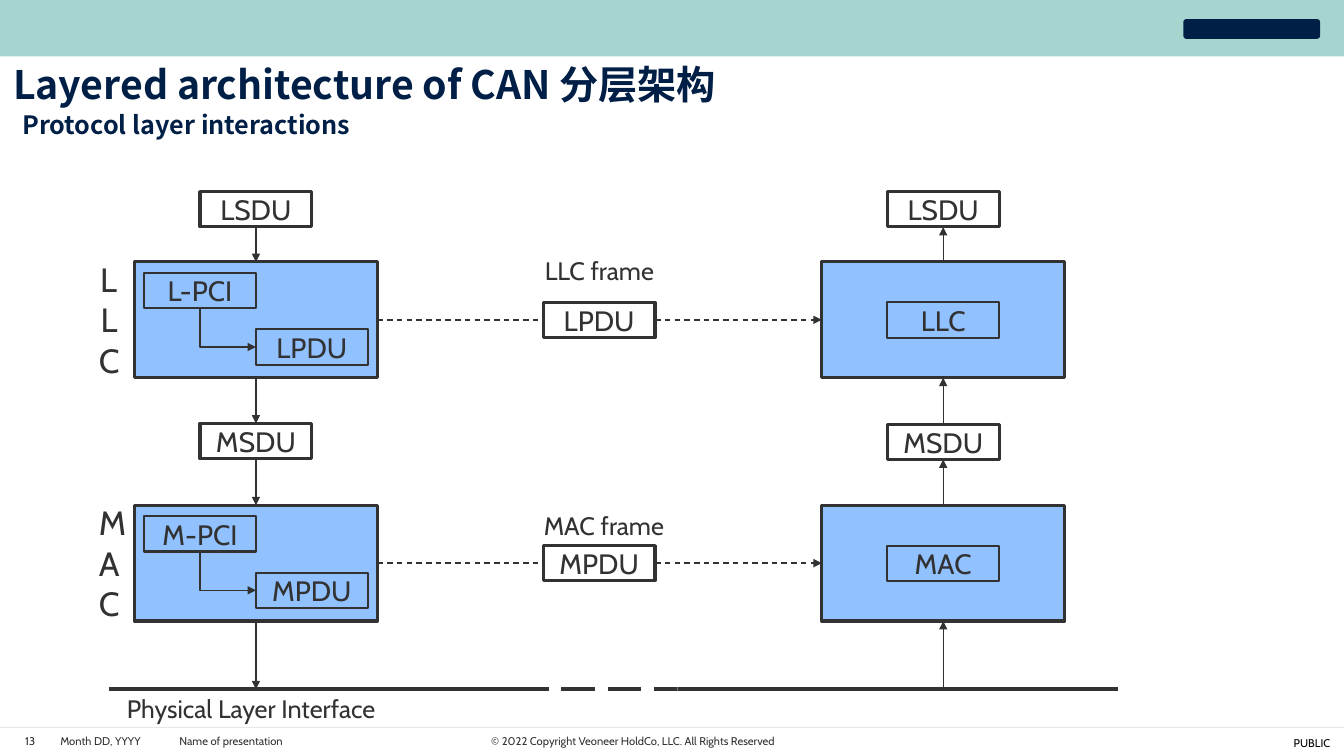
from lxml import etree
from pptx import Presentation
from pptx.dml.color import RGBColor
from pptx.enum.dml import MSO_LINE
from pptx.enum.shapes import MSO_CONNECTOR, MSO_SHAPE
from pptx.enum.text import MSO_ANCHOR, MSO_AUTO_SIZE, PP_ALIGN
from pptx.oxml.ns import qn
from pptx.util import Cm, Pt

RECT, ROUND = MSO_SHAPE.RECTANGLE, MSO_SHAPE.ROUNDED_RECTANGLE
LINE, ELBOW = MSO_CONNECTOR.STRAIGHT, MSO_CONNECTOR.ELBOW
DASH, LONG = MSO_LINE.DASH, MSO_LINE.LONG_DASH
TOP, MIDDLE, BOTTOM = MSO_ANCHOR.TOP, MSO_ANCHOR.MIDDLE, MSO_ANCHOR.BOTTOM
LEFT, CENTER, RIGHT = PP_ALIGN.LEFT, PP_ALIGN.CENTER, PP_ALIGN.RIGHT
FIXED = MSO_AUTO_SIZE.NONE

COLORS = {
    "ink": "323232", "navy": "001F47", "mint": "A6D4CF", "blue": "91C1FF",
    "white": "FFFFFF", "black": "000000", "rule": "E6E6E6",
}
SANS, HEAD = "Cabin", "Noto Sans CJK SC"
TAG_W, TAG_H = 2.82, 0.89
BLOCK_W, BLOCK_H = 6.12, 2.92
SEND, FRAME, TAKE = 6.45, 15.1, 23.77
BASE = 17.37


def color(name):
    """Return the RGB value of a named colour."""
    return RGBColor.from_string(COLORS[name])


def write(shape, text, size, hue="ink", font=SANS, align=LEFT, bold=False):
    """Add one formatted run to the first paragraph."""
    para = shape.text_frame.paragraphs[0]
    para.alignment = align
    run = para.add_run()
    run.text = text
    run.font.size, run.font.name, run.font.bold = Pt(size), font, bold
    run.font.color.rgb = color(hue)
    etree.SubElement(run._r.get_or_add_rPr(), qn("a:ea"), typeface=font)
    return para


def setup(shape, anchor, flush):
    """Set wrapping, anchor and margins of a text frame."""
    frame = shape.text_frame
    frame.word_wrap, frame.auto_size = True, FIXED
    frame.vertical_anchor = anchor
    if flush:
        frame.margin_left = frame.margin_right = 0
        frame.margin_top = frame.margin_bottom = 0


def head(shape, text, size, box, anchor, space):
    """Move and fill a placeholder."""
    shape.left, shape.top, shape.width, shape.height = map(Cm, box)
    setup(shape, anchor, True)
    props = shape.text_frame.paragraphs[0]._p.get_or_add_pPr()
    props.set("marL", "0")
    props.set("indent", "0")
    etree.SubElement(props, qn("a:buNone"))
    para = write(shape, text, size, "navy", HEAD, bold=True)
    para.line_spacing, para.space_before = space, Pt(0)


def label(slide, text, size, box, align=LEFT, anchor=TOP, flush=False, hue="ink"):
    """Add a text box."""
    shape = slide.shapes.add_textbox(*map(Cm, box))
    setup(shape, anchor, flush)
    write(shape, text, size, hue, align=align)


def panel(slide, box, fill=None, edge=None, kind=RECT):
    """Add a flat shape with optional fill and outline."""
    shape = slide.shapes.add_shape(kind, *map(Cm, box))
    shape.shadow.inherit = False
    if fill:
        shape.fill.solid()
        shape.fill.fore_color.rgb = color(fill)
    else:
        shape.fill.background()
    if edge:
        shape.line.color.rgb = color("ink")
        shape.line.width = Pt(edge)
    else:
        shape.line.fill.background()
    return shape


def tag(slide, text, left, top, edge=2.25):
    """Add a small outlined box with its name."""
    shape = panel(slide, (left, top, TAG_W, TAG_H), edge=edge)
    setup(shape, MIDDLE, False)
    write(shape, text, 20, align=CENTER)


def link(slide, start, end, width=1, dash=None, arrow=False, hue="ink", kind=LINE):
    """Add a connector without shadow."""
    line = slide.shapes.add_connector(kind, *map(Cm, start + end))
    line.line.color.rgb = color(hue)
    line.line.width = Pt(width)
    if dash:
        line.line.dash_style = dash
    if arrow:
        etree.SubElement(line.line._get_or_add_ln(), qn("a:tailEnd"), type="triangle")
    etree.SubElement(line._element.spPr, qn("a:effectLst"))
    return line


def elbow(slide, start, end):
    """Add an arrow that runs down and then right."""
    (x1, y1), (x2, y2) = start, end
    mid_x, mid_y = (x1 + x2) / 2, (y1 + y2) / 2
    half_w, half_h = (y2 - y1) / 2, (x2 - x1) / 2
    line = link(slide, (mid_x - half_w, mid_y - half_h),
                (mid_x + half_w, mid_y + half_h), arrow=True, kind=ELBOW)
    props = line._element.spPr
    props.find(qn("a:prstGeom")).set("prst", "bentConnector2")
    form = props.find(qn("a:xfrm"))
    form.set("rot", "16200000")
    form.set("flipH", "1")


def layer(slide, name, top):
    """Add one protocol layer: sender, frame and receiver."""
    first = name[0]
    unit = first + "PDU"
    left, right = SEND - BLOCK_W / 2, TAKE - BLOCK_W / 2
    for side in (left, right):
        panel(slide, (side, top, BLOCK_W, BLOCK_H), "blue", 2.25)
    tag(slide, first + "-PCI", SEND - TAG_W, top + 0.28, 1.5)
    tag(slide, unit, SEND, top + 1.7, 1.5)
    elbow(slide, (SEND - TAG_W / 2, top + 0.28 + TAG_H),
          (SEND, top + 1.7 + TAG_H / 2))
    label(slide, name, 24, (2.24, top - 0.2, 0.99, 3.33), CENTER)
    tag(slide, name, TAKE - TAG_W / 2, top + 1.02, 1.5)
    tag(slide, unit, FRAME - TAG_W / 2, top + 1.02)
    mid = top + BLOCK_H / 2
    link(slide, (left + BLOCK_W, mid), (FRAME - TAG_W / 2, mid), dash=DASH)
    link(slide, (FRAME + TAG_W / 2, mid), (right, mid), dash=DASH, arrow=True)


def column(slide, mid, tops, up):
    """Add the service units and vertical arrows of one side."""
    for name, top in zip(("LSDU", "MSDU"), tops[::2]):
        tag(slide, name, mid - TAG_W / 2, top)
    for i, top in enumerate(tops):
        start = (mid, top + (BLOCK_H if i % 2 else TAG_H))
        end = (mid, (tops + (BASE,))[i + 1])
        if up:
            start, end = end, start
        link(slide, start, end, arrow=True)


def footer(slide):
    """Add the footer rule and texts."""
    link(slide, (0, 18.34), (33.87, 18.34), 0.75, hue="rule")
    for text, left, width, align in (
        ("13", 0.56, 0.41, CENTER),
        ("Month DD, YYYY", 1.52, 2.41, LEFT),
        ("Name of presentation", 4.52, 7.01, LEFT),
        ("© 2022 Copyright Veoneer HoldCo, LLC. All Rights Reserved", 12.17, 7.37, RIGHT),
    ):
        label(slide, text, 8, (left, 18.52, width, 0.33), align, BOTTOM, True)
    label(slide, "PUBLIC", 8, (32.28, 18.42, 1.25, 0.63), RIGHT, MIDDLE, True, "black")


def main():
    """Build and save the slide."""
    deck = Presentation()
    deck.slide_width, deck.slide_height = Cm(33.87), Cm(19.05)
    slide = deck.slides.add_slide(deck.slide_layouts[1])
    panel(slide, (0, 0, 33.87, 1.42), "mint")
    panel(slide, (29.82, 0.48, 3.45, 0.5), "navy", kind=ROUND)
    title, body = slide.placeholders
    head(title, "Layered architecture of CAN 分层架构", 28,
         (0.33, 1.57, 30.81, 1.22), MIDDLE, 0.9)
    head(body, "Protocol layer interactions", 18, (0.56, 2.82, 30.81, 0.74), TOP, 0.95)
    layer(slide, "LLC", 6.6)
    layer(slide, "MAC", 12.73)
    column(slide, SEND, (4.83, 6.6, 10.67, 12.73), False)
    column(slide, TAKE, (4.83, 6.6, 10.69, 12.73), True)
    label(slide, "LLC frame", 18, (13.39, 6.3, 3.43, 1.02), CENTER)
    label(slide, "MAC frame", 18, (13.44, 12.73, 3.56, 1.02), CENTER)
    link(slide, (2.74, BASE), (28.17, BASE), 3)
    panel(slide, (12.98, 17.3, 4.09, 0.23), "white")
    link(slide, (12.98, BASE), (17.07, BASE), 3, LONG)
    label(slide, "Physical Layer Interface", 18, (2.95, 17.35, 7.34, 1.02))
    footer(slide)
    deck.save("out.pptx")


if __name__ == "__main__":
    main()
